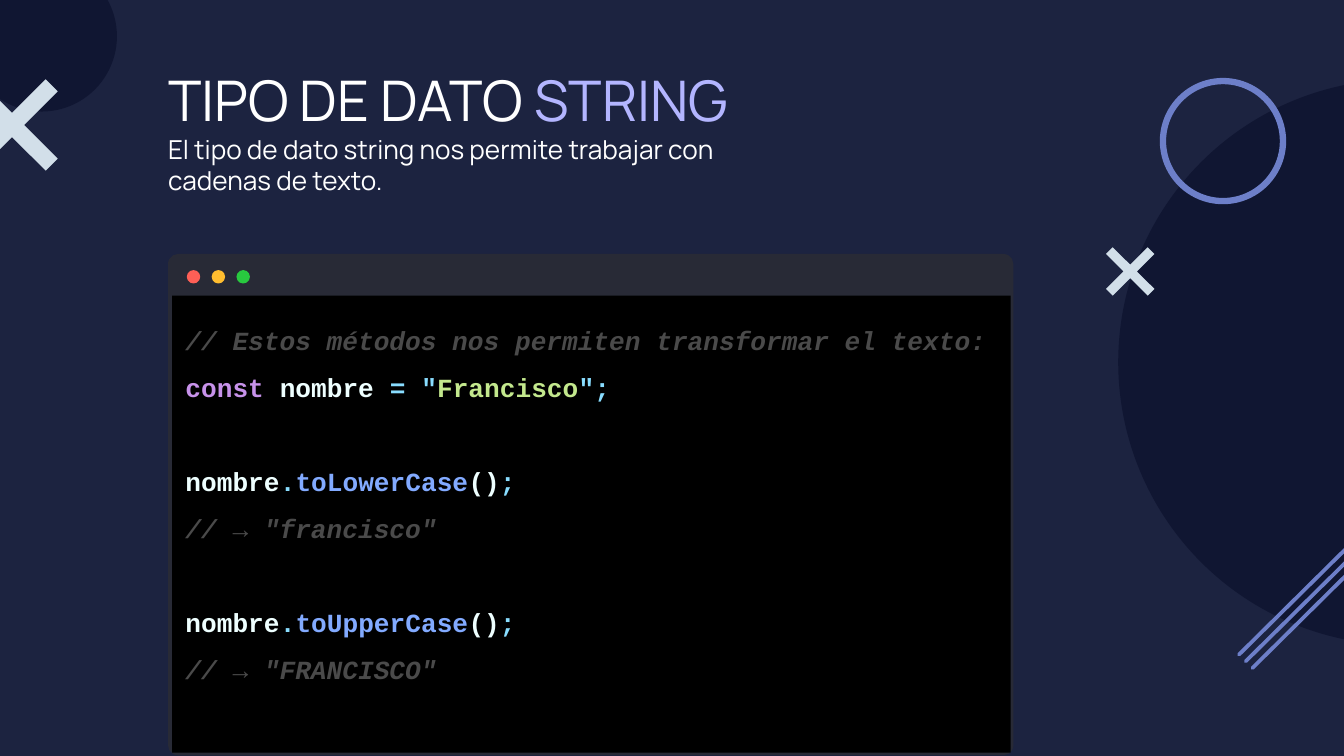
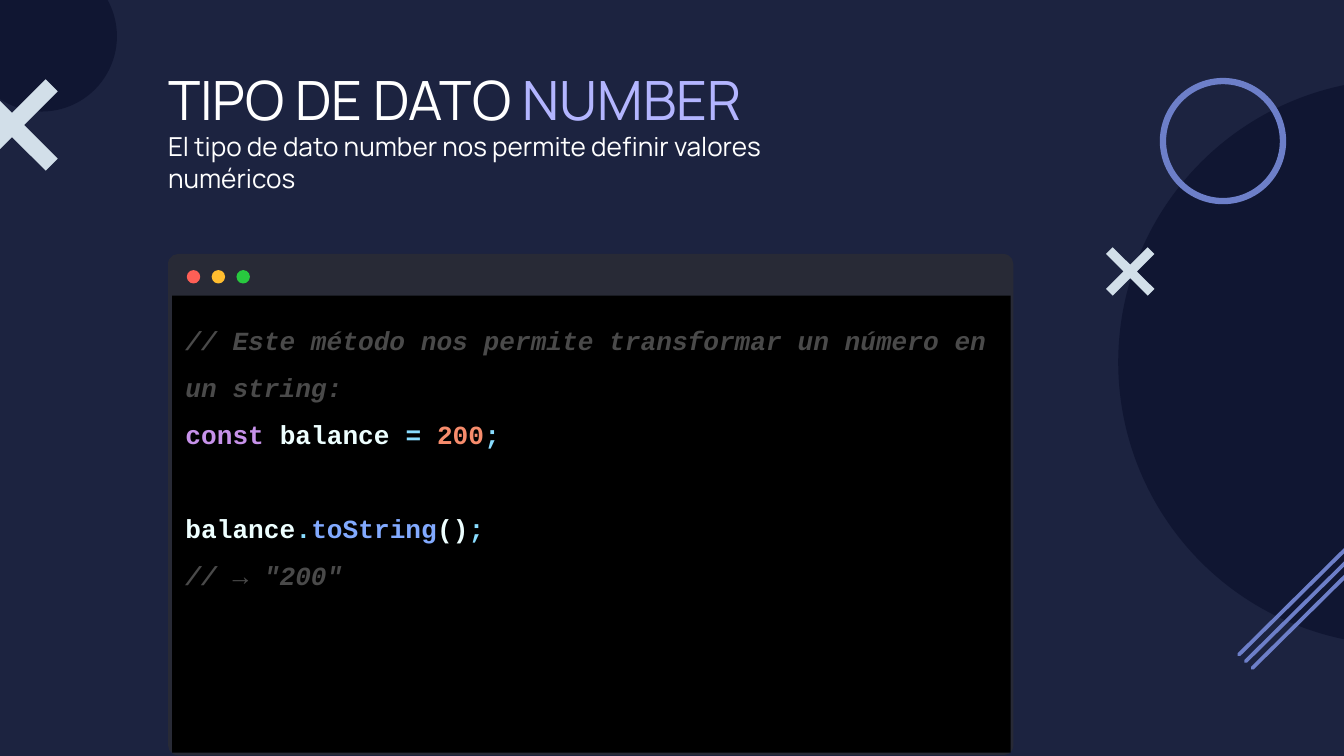
"""Builds two slides on the string and number data types."""
from pptx import Presentation
from pptx.dml.color import RGBColor as RGB
from pptx.enum.shapes import MSO_SHAPE as Kind
from pptx.enum.text import MSO_ANCHOR as Anchor, MSO_AUTO_SIZE as Auto, PP_ALIGN as Align
from pptx.util import Inches, Pt
from lxml import etree

INK = {
    "back": "1C2340", "disc": "101632", "cross": "D2DFE9", "line": "6D7FC9",
    "frame": "282A36", "code": "000000", "white": "FFFFFF", "type": "B3B5FF",
    "red": "FF5F56", "amber": "FFBD2F", "green": "28C93F",
    "note": "4A4A4A", "key": "C792EA", "name": "EEFFFF", "sign": "89DDFF",
    "text": "C3E88D", "call": "82AAFF", "num": "F78C6C",
}
MONO, SANS = "Courier New", "Manrope"
GAP = 25

PAGES = [
    ("STRING", 30, "El tipo de dato string nos permite trabajar con cadenas de texto.", [
        (0, [("// Estos métodos nos permiten transformar el texto:", "note")]),
        (0, [("const", "key"), (" nombre ", "name"), ("= \"", "sign"),
             ("Francisco", "text"), ("\";", "sign")]),
        (GAP, [("nombre", "name"), (".", "sign"), ("toLowerCase", "call"),
               ("()", "name"), (";", "sign")]),
        (0, [("// → \"francisco\"", "note")]),
        (GAP, [("nombre", "name"), (".", "sign"), ("toUpperCase", "call"),
               ("()", "name"), (";", "sign")]),
        (0, [("// → \"FRANCISCO\"", "note")]),
    ]),
    ("NUMBER", 29, "El tipo de dato number nos permite definir valores numéricos", [
        (0, [("// Este método nos permite transformar un número en un string:", "note")]),
        (0, [("const", "key"), (" balance ", "name"), ("= ", "sign"),
             ("200", "num"), (";", "sign")]),
        (GAP, [("balance", "name"), (".", "sign"), ("toString", "call"),
               ("()", "name"), (";", "sign")]),
        (0, [("// → \"200\"", "note")]),
    ]),
]


def write(par, text, ink="white", size=14, font=SANS, bold=False, slant=False):
    run = par.add_run()
    run.text = text
    run.font.name, run.font.size = font, Pt(size)
    run.font.bold, run.font.italic = bold, slant
    run.font.color.rgb = RGB.from_string(INK[ink])


def draw(tree, kind, ink, *box):
    if isinstance(kind, list):
        dots = [(Inches(x), Inches(y)) for x, y in kind]
        path = tree.build_freeform(*dots[0])
        path.add_line_segments(dots[1:])
        shape = path.convert_to_shape()
    else:
        shape = tree.add_shape(kind, *map(Inches, box))
    shape.shadow.inherit = False
    shape.fill.solid()
    shape.fill.fore_color.rgb = RGB.from_string(INK[ink])
    shape.line.fill.background()
    return shape


prs = Presentation()
prs.slide_width, prs.slide_height = Inches(10), Inches(10 * 9 / 16)
back = prs.slide_master.background.fill
back.solid()
back.fore_color.rgb = RGB.from_string(INK["back"])

for word, size, lead, code in PAGES:
    slide = prs.slides.add_slide(prs.slide_layouts[1])
    tree = slide.shapes
    head, body = tree.title, slide.placeholders[1]

    pane = tree.add_group_shape().shapes
    frame = draw(pane, Kind.ROUNDED_RECTANGLE, "frame", 1.25, 1.89, 6.29, 3.73)
    frame.adjustments[0] = 0.02
    for i, ink in enumerate(("red", "amber", "green")):
        draw(pane, Kind.OVAL, ink, 1.39 + i * 0.185, 2.01, 0.1, 0.1)

    for hold, box in ((body, (1.28, 2.2, 6.24, 3.4)), (head, (1.15, 0.39, 4.86, 0.86))):
        hold.element.getparent().append(hold.element)
        hold.left, hold.top, hold.width, hold.height = map(Inches, box)
        frame = hold.text_frame
        frame.word_wrap, frame.auto_size = True, Auto.NONE
        frame.vertical_anchor = Anchor.TOP
        frame.margin_left = frame.margin_right = Inches(0.1)
        frame.margin_top = frame.margin_bottom = Inches(0.1)
    body.fill.solid()
    body.fill.fore_color.rgb = RGB.from_string(INK["code"])

    par = head.text_frame.paragraphs[0]
    write(par, "TIPO DE DATO ", size=size)
    write(par, word, ink="type", size=size)
    write(head.text_frame.add_paragraph(), lead)
    for par in head.text_frame.paragraphs:
        par.alignment = Align.LEFT

    for i, (gap, parts) in enumerate(code):
        par = body.text_frame.add_paragraph() if i else body.text_frame.paragraphs[0]
        par.line_spacing, par.space_before = 1.5, Pt(gap)
        props = par._p.get_or_add_pPr()
        props.set("marL", "0")
        props.set("indent", "0")
        etree.SubElement(props, props.tag.replace("pPr", "buNone"))
        for text, ink in parts:
            write(par, text, ink=ink, font=MONO, bold=True, slant=ink == "note")

    draw(tree, Kind.OVAL, "disc", -0.25, -0.29, 1.12, 1.12)
    draw(tree, Kind.OVAL, "disc", 8.32, 0.59, 4.21, 4.21)
    ring = draw(tree, Kind.DONUT, "line", 8.63, 0.58, 0.94, 0.94)
    ring.adjustments[0] = 0.05
    for i in range(3):
        x, y = 9.21 + i * 0.05, 3.96 + i * 0.05
        bar = [(0.91, 0), (0, 0.9), (0, 0.92), (0.02, 0.92), (0.93, 0.02), (0.93, 0)]
        draw(tree, [(x + a, y + b) for a, b in bar], "line")
    for x, y, h, t in ((8.41, 2.02, 0.18, 0.05), (0.09, 0.93, 0.34, 0.09)):
        n = h - t
        arms = [(-n, -h), (-h, -n), (-t, 0), (-h, n), (-n, h), (0, t),
                (n, h), (h, n), (t, 0), (h, -n), (n, -h), (0, -t)]
        draw(tree, [(x + a, y + b) for a, b in arms], "cross")

prs.save("out.pptx")
